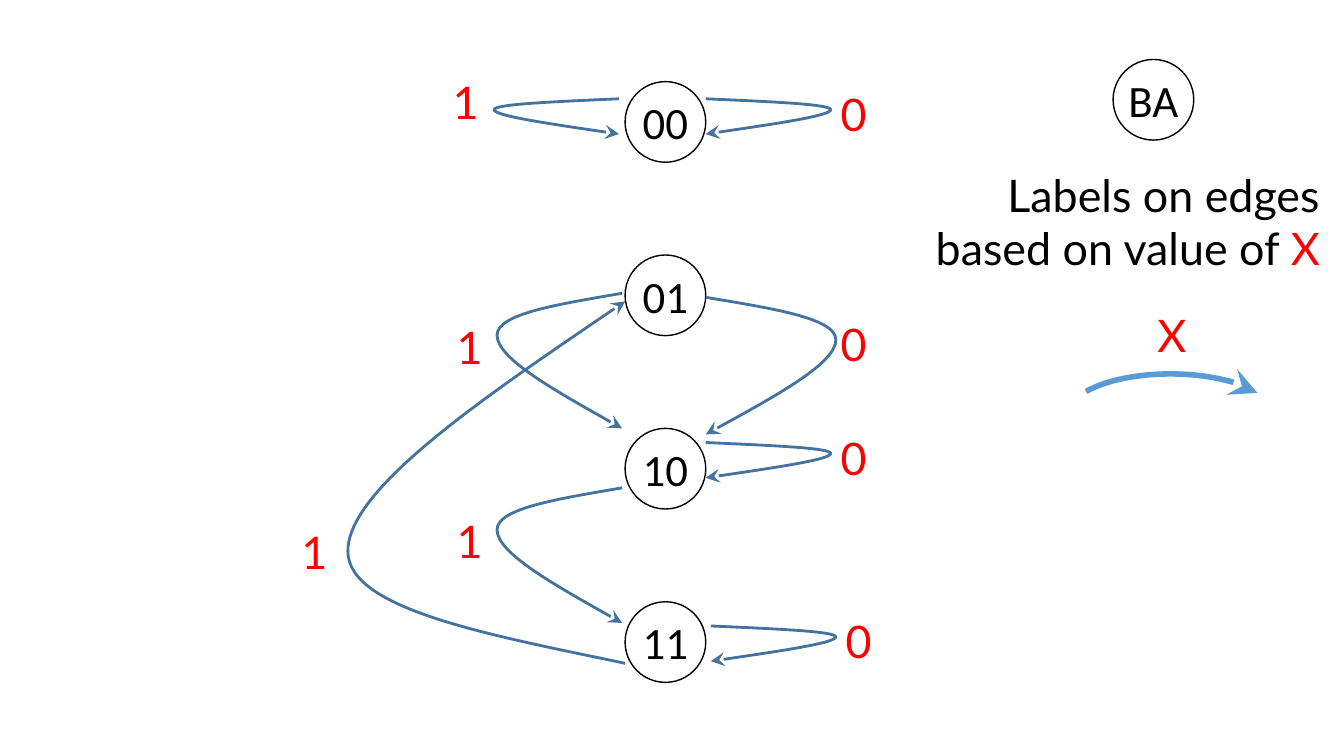
from dataclasses import dataclass

from lxml import etree
from pptx import Presentation
from pptx.dml.color import RGBColor
from pptx.enum.shapes import MSO_SHAPE
from pptx.enum.text import MSO_ANCHOR, MSO_AUTO_SIZE, PP_ALIGN
from pptx.oxml.ns import qn
from pptx.util import Pt

CIRCLE, ARC = MSO_SHAPE.OVAL, MSO_SHAPE.ARC
MIDDLE = MSO_ANCHOR.MIDDLE
CENTER, RIGHT = PP_ALIGN.CENTER, PP_ALIGN.RIGHT
FIT_TEXT = MSO_AUTO_SIZE.SHAPE_TO_FIT_TEXT

PX = 9144  # EMU per px, 100 px to the inch
BLANK_LAYOUT = 6
NODE_SIZE = 80
NODE_LEFT, NODE_TOP, NODE_STEP = 620, 81, 172
LABEL_WIDTH, LABEL_HEIGHT = 44, 64
# Heights of the curve's control points, as shares of the drop
CURVE_DROPS = (0.08, 0.15, 0.31, 0.48, 0.74, 1)


@dataclass(frozen=True)
class Theme:
    ink: RGBColor = RGBColor(0, 0, 0)
    paper: RGBColor = RGBColor(255, 255, 255)
    value: RGBColor = RGBColor(255, 0, 0)
    edge: RGBColor = RGBColor(0x43, 0x73, 0x9E)
    legend_edge: RGBColor = RGBColor(0x5B, 0x9B, 0xD5)
    node_font: str = "Calibri"
    label_font: str = "Lato"
    size: int = 32


THEME = Theme()

# Left, top and text of each edge label
EDGE_LABELS = [
    (824, 81, "0"), (824, 309, "0"), (824, 422, "0"), (829, 604, "0"),
    (439, 69, "1"), (443, 312, "1"), (443, 505, "1"), (289, 516, "1"),
]

# Start and end x, the x of the bend, start y and end y of each edge
EDGES = [
    (700, 824, 98, 133), (620, 345, 658, 299), (700, 829, 295, 431),
    (700, 824, 439, 474), (705, 829, 621, 656), (614, 490, 98, 133),
    (617, 493, 291, 425), (617, 493, 484, 618),
]


def emu(*lengths):
    return [round(length * PX) for length in lengths]


def add_run(paragraph, text, font, color):
    run = paragraph.add_run()
    run.text = text
    run.font.name = font
    run.font.size = Pt(THEME.size)
    run.font.color.rgb = color


def style_arrow(arrow, color, width):
    arrow.shadow.inherit = False
    arrow.fill.background()
    arrow.line.color.rgb = color
    arrow.line.width = Pt(width)
    etree.SubElement(arrow.line._get_or_add_ln(), qn("a:tailEnd"),
                     type="stealth", w="lg", len="lg")


def add_node(slide, left, top, state):
    node = slide.shapes.add_shape(CIRCLE, *emu(left, top, NODE_SIZE, NODE_SIZE))
    node.shadow.inherit = False
    node.fill.solid()
    node.fill.fore_color.rgb = THEME.paper
    node.line.color.rgb = THEME.ink
    node.line.width = Pt(1)
    frame = node.text_frame
    frame.margin_left = frame.margin_right = 0
    frame.margin_top = frame.margin_bottom = 0
    frame.vertical_anchor = MIDDLE
    frame.paragraphs[0].alignment = CENTER
    add_run(frame.paragraphs[0], state, THEME.node_font, THEME.ink)


def add_edge(slide, start_x, bend_x, start_y, end_y):
    middle_x = (start_x + bend_x) / 2
    xs = (middle_x, bend_x, bend_x, bend_x, middle_x, start_x)
    drop = end_y - start_y
    points = [emu(x, start_y + share * drop) for x, share in zip(xs, CURVE_DROPS)]
    builder = slide.shapes.build_freeform(*emu(start_x, start_y))
    builder.add_line_segments(points, close=False)
    edge = builder.convert_to_shape()

    # Turn every three straight segments into one Bezier segment
    segments = list(edge.element.iter(qn("a:lnTo")))
    for first in range(0, len(segments), 3):
        bezier = etree.Element(qn("a:cubicBezTo"))
        segments[first].addprevious(bezier)
        for segment in segments[first:first + 3]:
            bezier.append(segment[0])
            segment.getparent().remove(segment)
    style_arrow(edge, THEME.edge, 2)


def add_label(slide, left, top, text, width=LABEL_WIDTH):
    label = slide.shapes.add_textbox(*emu(left, top, width, LABEL_HEIGHT))
    label.text_frame.word_wrap = False
    label.text_frame.auto_size = FIT_TEXT
    add_run(label.text_frame.paragraphs[0], text, THEME.label_font, THEME.value)


def add_legend(slide):
    caption = slide.shapes.add_textbox(*emu(893, 161, 426, 118))
    caption.fill.solid()
    caption.fill.fore_color.rgb = THEME.paper
    caption.text_frame.word_wrap = True
    caption.text_frame.auto_size = FIT_TEXT
    sentence = caption.text_frame.paragraphs[0]
    sentence.alignment = RIGHT
    add_run(sentence, "Labels on edges based on value of ", THEME.label_font, THEME.ink)
    add_run(sentence, "X", THEME.label_font, THEME.value)

    add_node(slide, 1104, 59, "BA")
    add_label(slide, 1138, 300, "X", width=47)

    sample_edge = slide.shapes.add_shape(ARC, *emu(1058, 371, 206, 83))
    sample_edge.adjustments[0] = 117.64
    sample_edge.adjustments[1] = 207.15
    style_arrow(sample_edge, THEME.legend_edge, 4)


def main():
    deck = Presentation()
    deck.slide_width, deck.slide_height = emu(1333, 750)
    slide = deck.slides.add_slide(deck.slide_layouts[BLANK_LAYOUT])

    # State diagram
    for row, state in enumerate(("00", "01", "10", "11")):
        add_node(slide, NODE_LEFT, NODE_TOP + row * NODE_STEP, state)
    for edge in EDGES:
        add_edge(slide, *edge)
    for label in EDGE_LABELS:
        add_label(slide, *label)

    # Key to the nodes and edges
    add_legend(slide)
    deck.save("out.pptx")


if __name__ == "__main__":
    main()
